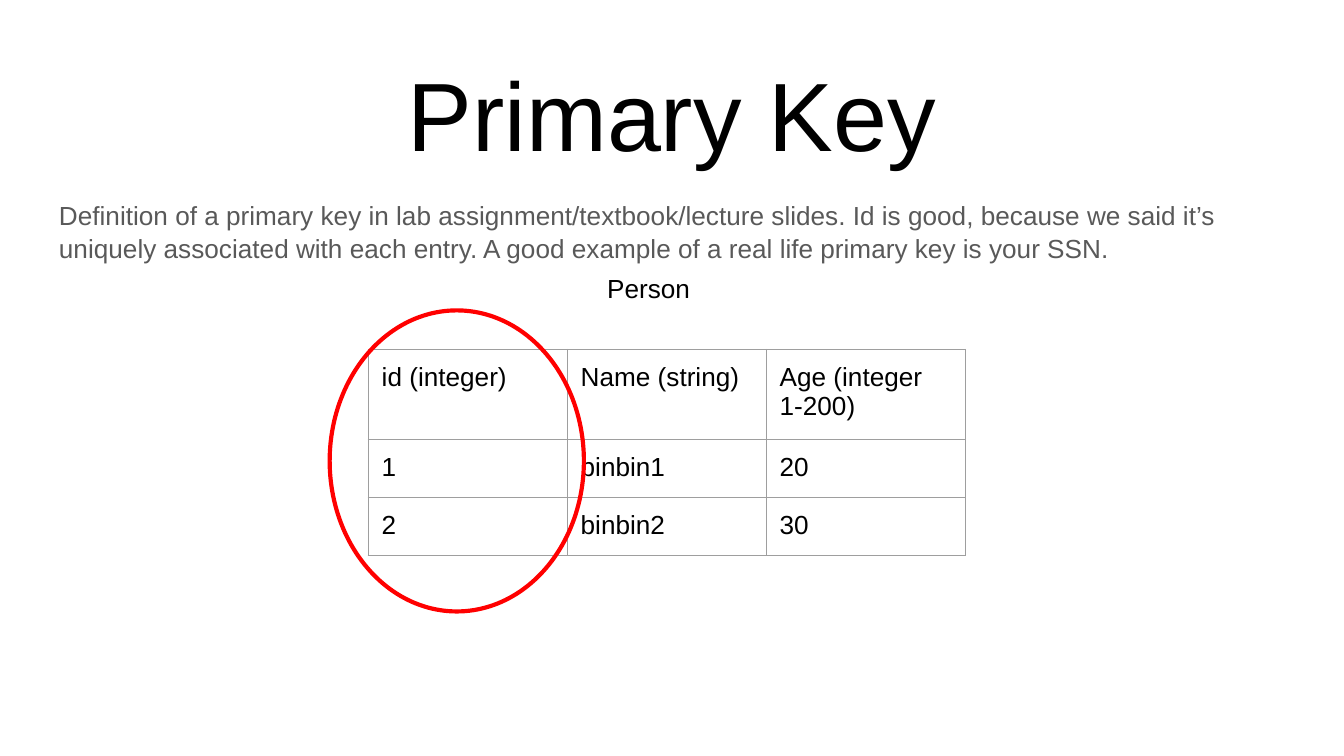
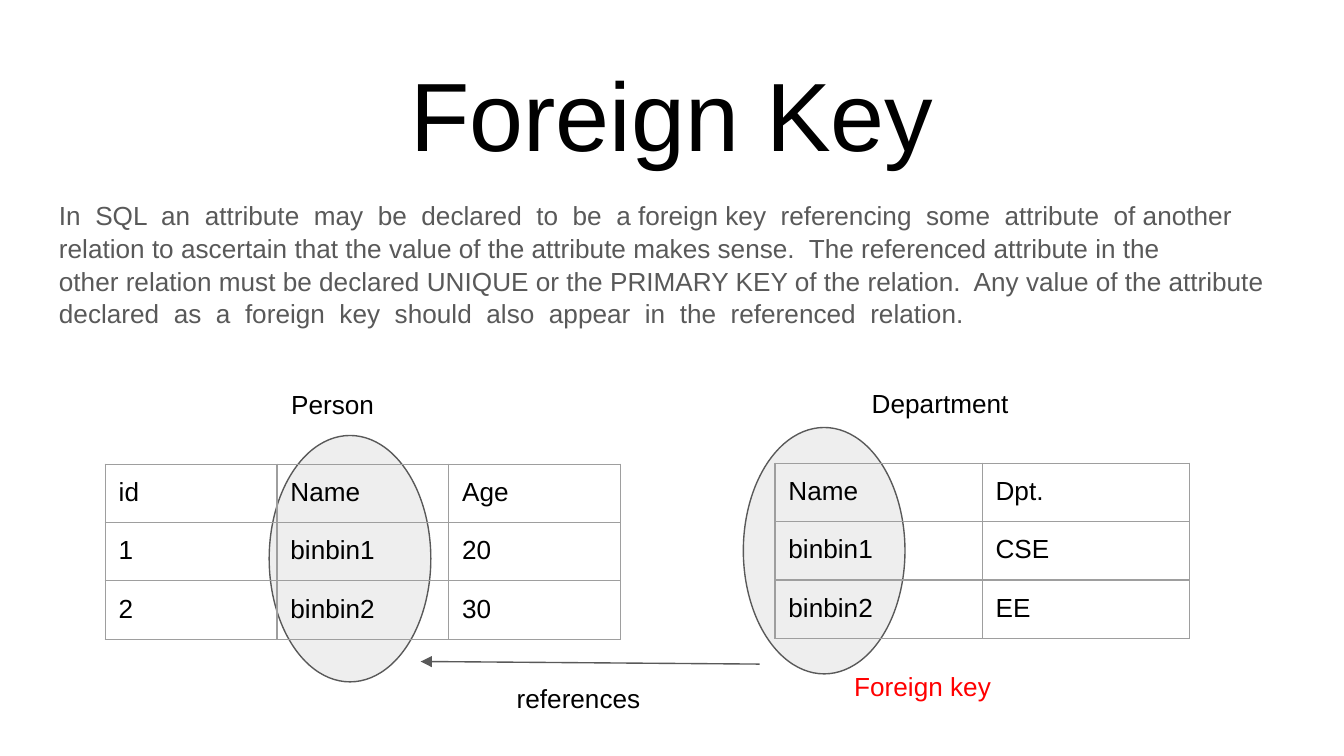
from lxml.etree import SubElement
from pptx import Presentation
from pptx.dml.color import RGBColor
from pptx.enum.shapes import MSO_CONNECTOR, MSO_SHAPE
from pptx.enum.text import MSO_ANCHOR, PP_ALIGN
from pptx.oxml.ns import qn
from pptx.util import Pt

COLORS = {
    "text": "000000",
    "body": "595959",
    "accent": "FF0000",
    "grid": "9E9E9E",
    "oval": "EEEEEE",
}
FONT = "Arial"
INSET = 7.2
TITLE_BOX = (24.5, 21, 671, 78)
BODY_BOX = (24.5, 99.2, 671, 103.7)
LABEL_SIZE = (131.8, 28.8)
PERSON_ROWS = [["1", "binbin1", "20"], ["2", "binbin2", "30"]]


def rgb(name):
    return RGBColor.from_string(COLORS[name])


def points(values):
    return [Pt(value) for value in values]


def apply_format(target, values):
    for name, value in values.items():
        setattr(target, name, value)


def margins():
    return {f"margin_{side}": Pt(INSET) for side in ("left", "right", "top", "bottom")}


def write_paragraph(paragraph, text, size=14, color="text", align=PP_ALIGN.LEFT, spacing=1.0):
    apply_format(paragraph, {"alignment": align, "line_spacing": spacing})
    run = paragraph.add_run()
    run.text = text
    apply_format(run.font, {"name": FONT, "size": Pt(size)})
    run.font.color.rgb = rgb(color)


def add_text(slide, box, paragraphs, anchor=MSO_ANCHOR.BOTTOM, **style):
    frame = slide.shapes.add_textbox(*points(box)).text_frame
    apply_format(frame, {"word_wrap": True, "vertical_anchor": anchor, **margins()})
    for index, text in enumerate(paragraphs):
        paragraph = frame.add_paragraph() if index else frame.paragraphs[0]
        write_paragraph(paragraph, text, **style)


def add_heading(slide, title, body):
    add_text(slide, TITLE_BOX, [title], size=52, align=PP_ALIGN.CENTER)
    add_text(slide, BODY_BOX, body, anchor=MSO_ANCHOR.TOP, color="body", spacing=1.04)


def add_label(slide, left, top, text, color="text"):
    add_text(slide, (left, top, *LABEL_SIZE), [text], color=color, align=PP_ALIGN.CENTER)


def add_oval(slide, box, line, width, fill=None):
    oval = slide.shapes.add_shape(MSO_SHAPE.OVAL, *points(box))
    oval.shadow.inherit = False
    if fill:
        oval.fill.solid()
        oval.fill.fore_color.rgb = rgb(fill)
    else:
        oval.fill.background()
    oval.line.color.rgb = rgb(line)
    oval.line.width = Pt(width)


def add_borders(cell):
    properties = cell._tc.get_or_add_tcPr()
    for side in ("a:lnL", "a:lnR", "a:lnT", "a:lnB"):
        line = SubElement(properties, qn(side), w=str(Pt(0.75)))
        fill = SubElement(line, qn("a:solidFill"))
        SubElement(fill, qn("a:srgbClr"), val=COLORS["grid"])


def add_relation(slide, left, top, column_width, row_height, rows):
    """Draw a database relation as an unfilled table with equal columns and rows."""
    row_count, column_count = len(rows), len(rows[0])
    size = (column_width * column_count, row_height * row_count)
    table = slide.shapes.add_table(row_count, column_count, *points((left, top, *size))).table
    apply_format(table, {"first_row": False, "horz_banding": False})
    for column in table.columns:
        column.width = Pt(column_width)
    for row, texts in zip(table.rows, rows):
        row.height = Pt(row_height)
        for cell, text in zip(row.cells, texts):
            apply_format(cell, margins())
            write_paragraph(cell.text_frame.paragraphs[0], text)
            add_borders(cell)
            cell.fill.background()


def add_arrow(slide, start, end):
    arrow = slide.shapes.add_connector(MSO_CONNECTOR.STRAIGHT, *points((*start, *end)))
    arrow.line.color.rgb = rgb("body")
    arrow.line.width = Pt(0.75)
    properties = arrow._element.spPr
    SubElement(properties.find(qn("a:ln")), qn("a:tailEnd"), type="triangle")
    SubElement(properties, qn("a:effectLst"))


def build_primary_key(slide):
    add_heading(slide, "Primary Key", [
        "Definition of a primary key in lab assignment/textbook/lecture slides. "
        "Id is good, because we said it’s uniquely associated with each entry. "
        "A good example of a real life primary key is your SSN.",
    ])
    header = ["id (integer)", "Name (string)", "Age (integer 1-200)"]
    add_relation(slide, 197.3, 187.2, 106.6, 30, [header, *PERSON_ROWS])
    add_label(slide, 281.6, 141, "Person")
    add_oval(slide, (176.6, 166.3, 136.2, 161.3), "accent", 2.25)


def build_foreign_key(slide):
    for left, top in ((398.2, 229), (144.2, 233.3)):
        add_oval(slide, (left, top, 86.6, 132), "body", 0.75, fill="oval")
    add_heading(slide, "Foreign Key", [
        "In  SQL  an  attribute  may  be  declared  to  be  a foreign key  referencing  "
        "some  attribute  of another relation to ascertain that the value of the "
        "attribute makes sense.  The referenced attribute in the",
        "other relation must be declared UNIQUE or the PRIMARY KEY of the relation.  "
        "Any value of the attribute",
        "declared  as  a  foreign  key  should  also  appear  in  the  referenced  relation.",
    ])
    add_relation(slide, 56.4, 248.7, 92, 30, [["id", "Name", "Age"], *PERSON_ROWS])
    add_relation(slide, 415.2, 248.2, 111, 31.1,
                 [["Name", "Dpt."], ["binbin1", "CSE"], ["binbin2", "EE"]])
    add_label(slide, 112.3, 203.4, "Person")
    add_label(slide, 437.8, 202.6, "Department")
    add_arrow(slide, (407, 355.8), (225.4, 354.4))
    add_label(slide, 244.1, 361, "references")
    add_label(slide, 428.4, 354.4, "Foreign key", color="accent")


def main():
    presentation = Presentation()
    apply_format(presentation, {"slide_width": Pt(720), "slide_height": Pt(405)})
    for build in (build_primary_key, build_foreign_key):
        build(presentation.slides.add_slide(presentation.slide_layouts[6]))
    presentation.save("out.pptx")


if __name__ == "__main__":
    main()
